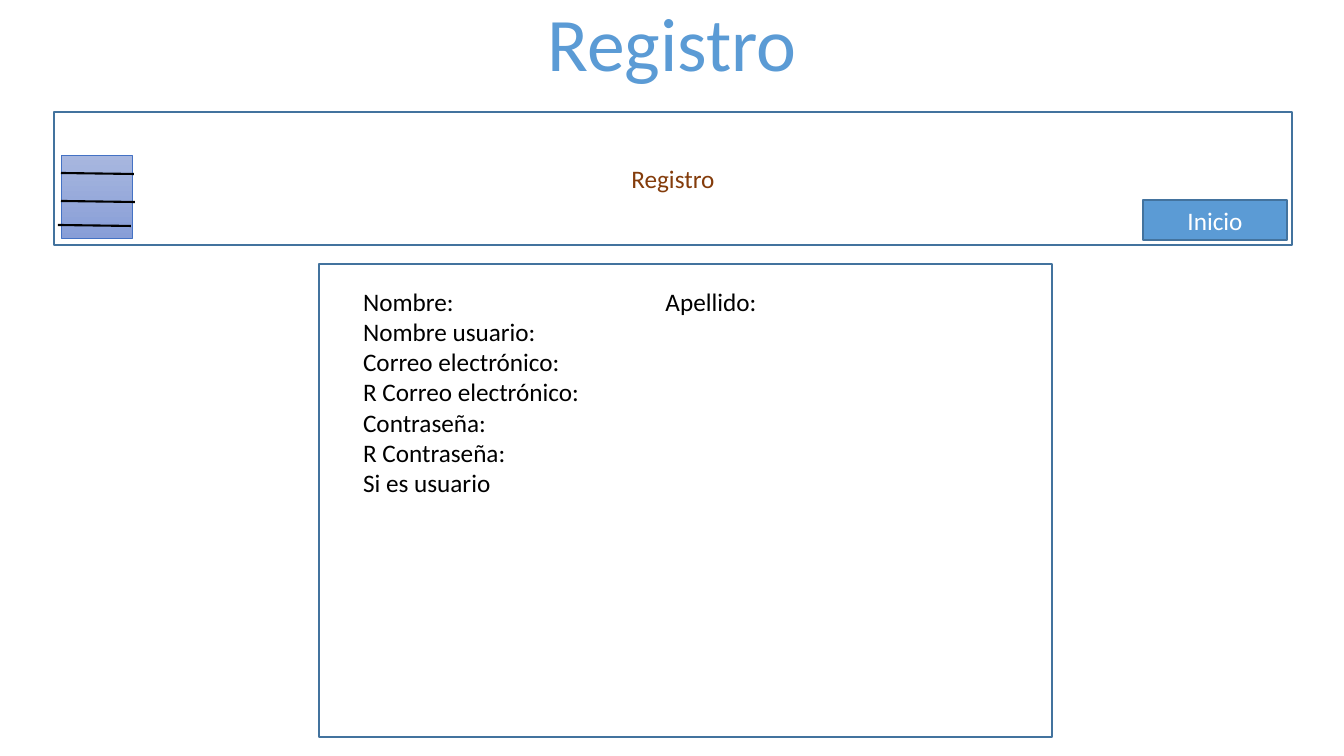
import dataclasses
import typing

import lxml.etree
import pptx
import pptx.dml.color
import pptx.enum.shapes
import pptx.enum.text
import pptx.oxml.ns
import pptx.util

SCALE = 914400 / 100.8
FONT = "Calibri"
HUES = {
    "blue": "5B9BD5",
    "edge": "43739E",
    "brown": "843C0B",
    "white": "FFFFFF",
    "black": "000000",
    "trim": "4472C4",
    "light": "A8B7DF",
    "deep": "889ED7",
}
KINDS = pptx.enum.shapes.MSO_SHAPE
ALIGN = pptx.enum.text.PP_ALIGN
ANCHOR = pptx.enum.text.MSO_ANCHOR


@dataclasses.dataclass
class Box:
    left: int
    top: int
    width: int
    height: int
    kind: typing.Any = KINDS.RECTANGLE
    text: str = ""
    ink: str = "white"
    fill: str = ""
    edge: str = "edge"
    weight: float = 1


@dataclasses.dataclass
class Bar:
    left: int
    top: int
    right: int


PANEL = Box(319, 264, 733, 473, KINDS.FLOWCHART_PROCESS, weight=1.5)
HEADER = Box(54, 112, 1238, 133, text="Registro", ink="brown")
BUTTON = Box(1143, 200, 144, 40, text="Inicio", fill="blue", weight=1.5)
MENU = Box(61, 155, 71, 83, edge="trim", weight=0.5)
BARS = [Bar(61, 173, 134), Bar(61, 201, 135), Bar(58, 225, 131)]
FIELDS = [
    "Nombre:\t\t\tApellido:",
    "Nombre usuario:",
    "Correo electrónico:",
    "R Correo electrónico:",
    "Contraseña:",
    "R Contraseña:",
    "Si es usuario",
]


def px(count: int) -> int:
    return pptx.util.Emu(round(count * SCALE))


def hue(name: str) -> pptx.dml.color.RGBColor:
    return pptx.dml.color.RGBColor.from_string(HUES[name])


def write(para, text: str, ink: str, size: int = 18, align=ALIGN.CENTER) -> None:
    para.alignment = align
    para.line_spacing = 1.0
    para.space_before = pptx.util.Pt(0)
    run = para.add_run()
    run.text = text
    run.font.name = FONT
    run.font.size = pptx.util.Pt(size)
    run.font.color.rgb = hue(ink)


def draw(shapes, box: Box):
    shape = shapes.add_shape(
        box.kind, px(box.left), px(box.top), px(box.width), px(box.height))
    shape.shadow.inherit = False
    if box.fill:
        shape.fill.solid()
        shape.fill.fore_color.rgb = hue(box.fill)
    else:
        shape.fill.background()
    shape.line.color.rgb = hue(box.edge)
    shape.line.width = pptx.util.Pt(box.weight)
    if box.text:
        shape.text_frame.vertical_anchor = ANCHOR.MIDDLE
        write(shape.text_frame.paragraphs[0], box.text, box.ink)
    return shape


def stroke(shapes, bar: Bar) -> None:
    line = shapes.add_connector(
        pptx.enum.shapes.MSO_CONNECTOR.STRAIGHT,
        px(bar.left), px(bar.top), px(bar.right), px(bar.top + 1))
    line.line.color.rgb = hue("black")
    line.line.width = pptx.util.Pt(1.5)
    lxml.etree.SubElement(line.element.spPr, pptx.oxml.ns.qn("a:effectLst"))


def place(holder, left: int, top: int, width: int, height: int):
    holder.left, holder.top = px(left), px(top)
    holder.width, holder.height = px(width), px(height)
    frame = holder.text_frame
    frame.word_wrap = True
    frame.auto_size = pptx.enum.text.MSO_AUTO_SIZE.NONE
    frame.vertical_anchor = ANCHOR.TOP
    return frame


def plain(para) -> None:
    props = para._p.get_or_add_pPr()
    props.set("marL", "0")
    props.set("indent", "0")
    props.set("defTabSz", "914400")
    lxml.etree.SubElement(props, pptx.oxml.ns.qn("a:buNone"))


def build() -> None:
    deck = pptx.Presentation()
    deck.slide_width, deck.slide_height = px(1344), px(756)
    slide = deck.slides.add_slide(deck.slide_layouts[1])
    title = place(slide.shapes.title, 0, -9, 1344, 102)
    write(title.paragraphs[0], "Registro", "blue", 54)

    form = place(slide.placeholders[1], 353, 281, 688, 254)
    for rank, field in enumerate(FIELDS):
        para = form.add_paragraph() if rank else form.paragraphs[0]
        write(para, field, "black", align=ALIGN.LEFT)
        plain(para)

    for box in (PANEL, HEADER, BUTTON):
        draw(slide.shapes, box)

    group = slide.shapes.add_group_shape()
    menu = draw(group.shapes, MENU)
    menu.fill.gradient()
    menu.fill.gradient_angle = 270
    for stop, name, spot in zip(menu.fill.gradient_stops, ("light", "deep"), (0, 1)):
        stop.color.rgb = hue(name)
        stop.position = spot
    for bar in BARS:
        stroke(group.shapes, bar)
    deck.save("out.pptx")


build()
